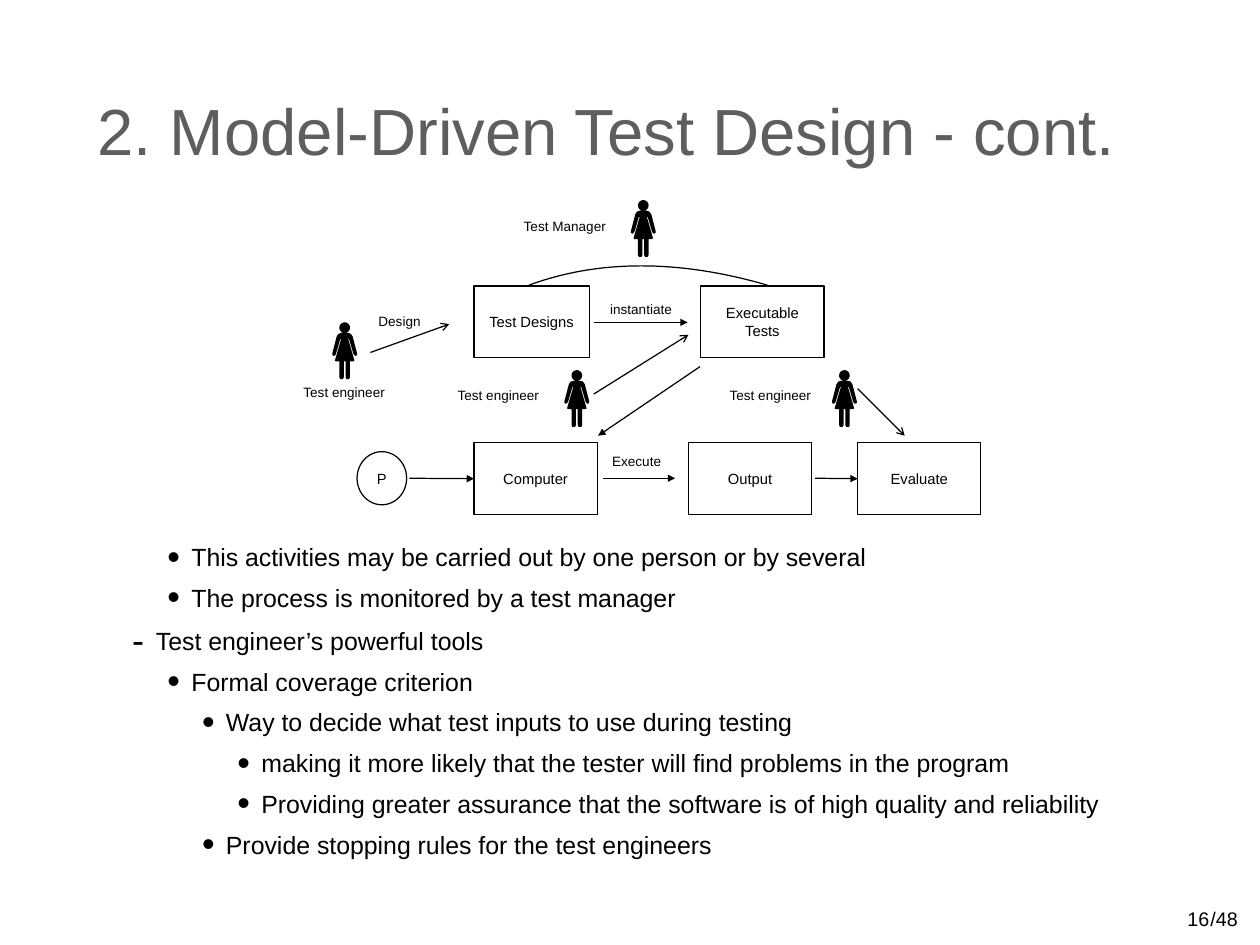
from dataclasses import dataclass
from math import cos, pi, sin

from lxml import etree
from pptx import Presentation
from pptx.dml.color import RGBColor
from pptx.enum.shapes import MSO_CONNECTOR, MSO_SHAPE
from pptx.enum.text import MSO_ANCHOR, MSO_AUTO_SIZE, PP_ALIGN
from pptx.oxml.ns import qn
from pptx.util import Inches, Pt

RECT, OVAL = MSO_SHAPE.RECTANGLE, MSO_SHAPE.OVAL
STRAIGHT = MSO_CONNECTOR.STRAIGHT
LEFT, CENTER = PP_ALIGN.LEFT, PP_ALIGN.CENTER
TOP, MIDDLE = MSO_ANCHOR.TOP, MSO_ANCHOR.MIDDLE
NO_AUTOFIT = MSO_AUTO_SIZE.NONE
LEFT_SIDE = 1


@dataclass(frozen=True)
class Theme:
    font: str = "Arial"
    ink: RGBColor = RGBColor(0, 0, 0)
    heading: RGBColor = RGBColor(0x5E, 0x5E, 0x5E)
    title_size: float = 53
    body_size: float = 20.2
    number_size: float = 16
    step_size: float = 12
    label_size: float = 11
    line_width: float = 1


THEME = Theme()

POINTS = [
    (2, "This activities may be carried out by one person or by several"),
    (2, "The process is monitored by a test manager"),
    (1, "Test engineer’s powerful tools"),
    (2, "Formal coverage criterion"),
    (3, "Way to decide what test inputs to use during testing"),
    (4, "making it more likely that the tester will find problems in the program"),
    (4, "Providing greater assurance that the software is of high quality and reliability"),
    (3, "Provide stopping rules for the test engineers"),
]
STEPS = [
    ("Test Designs", RECT, 5.35, 3.23, 1.3, 0.81),
    ("Executable Tests", RECT, 7.91, 3.23, 1.39, 0.81),
    ("Computer", RECT, 5.35, 5, 1.39, 0.81),
    ("Output", RECT, 7.77, 5, 1.39, 0.81),
    ("Evaluate", RECT, 9.68, 5, 1.39, 0.81),
    ("P", OVAL, 4.03, 5.1, 0.56, 0.6),
]
LABELS = [
    ("Test engineer", 3.15, 4.28, 1.47),
    ("Test Manager", 5.64, 2.4, 1.47),
    ("Test engineer", 4.89, 4.31, 1.47),
    ("Test engineer", 7.86, 4.31, 1.67),
    ("Design", 4.11, 3.47, 0.8),
    ("instantiate", 6.66, 3.34, 1.15),
    ("Execute", 6.75, 5.05, 0.87),
]
PEOPLE = [(3.89, 3.64), (7.26, 2.26), (6.51, 4.18), (9.53, 4.18)]
ARROWS = [
    (4.18, 3.98, 5.07, 3.66, "arrow", None),
    (6.7, 3.64, 7.76, 3.64, "triangle", None),
    (6.7, 4.45, 7.77, 3.78, "arrow", None),
    (7.9, 4.14, 6.75, 4.92, "triangle", None),
    (4.62, 5.4, 5.35, 5.4, "triangle", "Computer"),
    (6.81, 5.4, 7.62, 5.4, "triangle", None),
    (9.2, 5.4, 9.68, 5.4, "triangle", "Evaluate"),
    (9.68, 4.39, 10.21, 4.92, "arrow", None),
]
HALF_BODY = [
    (0.04, 0.12), (0.07, 0.13), (0.09, 0.16), (0.14, 0.35), (0.14, 0.37),
    (0.12, 0.38), (0.1, 0.36), (0.05, 0.19), (0.04, 0.19), (0.11, 0.43),
    (0.1, 0.44), (0.06, 0.44), (0.06, 0.62), (0.05, 0.64), (0.02, 0.64),
    (0.01, 0.62), (0.01, 0.44),
]
HEAD_RADIUS = 0.06
MANAGER_ARC = [(5.97, 3.22), (6.76, 2.93), (7.66, 2.93), (8.66, 3.22)]


def add_run(paragraph, text, size, color=THEME.ink):
    run = paragraph.add_run()
    run.text = text
    run.font.name = THEME.font
    run.font.size = Pt(size)
    run.font.color.rgb = color


def set_frame(frame, inset, anchor, wrap=True):
    frame.word_wrap = wrap
    frame.auto_size = NO_AUTOFIT
    frame.vertical_anchor = anchor
    frame.margin_left = frame.margin_right = Inches(inset)
    frame.margin_top = frame.margin_bottom = Inches(inset)


def place(placeholder, left, top, width, height):
    placeholder.left, placeholder.top = Inches(left), Inches(top)
    placeholder.width, placeholder.height = Inches(width), Inches(height)
    set_frame(placeholder.text_frame, 0.06, MIDDLE)


def set_line(shape):
    shape.line.color.rgb = THEME.ink
    shape.line.width = Pt(THEME.line_width)


def add_title(slide):
    title = slide.shapes.title
    place(title, 1.04, 0.28, 12.14, 2.36)
    paragraph = title.text_frame.paragraphs[0]
    paragraph.alignment = LEFT
    add_run(paragraph, "2. Model-Driven Test Design - cont.", THEME.title_size, THEME.heading)


def add_bullet(paragraph, level):
    properties = paragraph._p.get_or_add_pPr()
    properties.set("marL", str(Inches(round(0.265 + 0.396 * level, 2))))
    properties.set("indent", str(Inches(-0.27)))
    etree.SubElement(properties, qn("a:buSzPct")).set("val", "145000")
    etree.SubElement(properties, qn("a:buFont")).set("typeface", THEME.font)
    etree.SubElement(properties, qn("a:buChar")).set("char", "-" if level == 1 else "•")


def add_points(slide):
    body = slide.placeholders[1]
    place(body, 1.04, 6.04, 12.14, 3.67)
    for index, (level, text) in enumerate(POINTS):
        frame = body.text_frame
        paragraph = frame.add_paragraph() if index else frame.paragraphs[0]
        paragraph.level = level
        paragraph.alignment = LEFT
        paragraph.line_spacing = 1.2
        paragraph.space_before = Pt(6 if level == 1 else 4)
        paragraph.space_after = Pt(0)
        add_bullet(paragraph, level)
        add_run(paragraph, text, THEME.body_size)


def add_label(slide, text, left, top, width, size=THEME.label_size, wrap=True):
    label = slide.shapes.add_textbox(Inches(left), Inches(top), Inches(width), Inches(0.35))
    set_frame(label.text_frame, 0.06, TOP, wrap)
    paragraph = label.text_frame.paragraphs[0]
    paragraph.alignment = CENTER
    add_run(paragraph, text, size)


def add_step(slide, text, outline, left, top, width, height):
    step = slide.shapes.add_shape(outline, Inches(left), Inches(top), Inches(width), Inches(height))
    step.shadow.inherit = False
    step.fill.background()
    set_line(step)
    set_frame(step.text_frame, 0.11, MIDDLE)
    paragraph = step.text_frame.paragraphs[0]
    paragraph.alignment = CENTER
    add_run(paragraph, text, THEME.step_size)
    return step


def to_emu(points, left=0, top=0):
    return [(Inches(left + x), Inches(top + y)) for x, y in points]


def add_person(slide, center, top):
    angles = [pi * step / 12 for step in range(24)]
    circle = [(HEAD_RADIUS * cos(a), HEAD_RADIUS * (1 + sin(a))) for a in angles]
    head = to_emu(circle, center, top)
    body = to_emu(HALF_BODY + [(-x, y) for x, y in reversed(HALF_BODY)], center, top)
    builder = slide.shapes.build_freeform(*head[0])
    builder.add_line_segments(head[1:])
    builder.move_to(*body[0])
    builder.add_line_segments(body[1:])
    person = builder.convert_to_shape()
    person.shadow.inherit = False
    person.fill.solid()
    person.fill.fore_color.rgb = THEME.ink
    person.line.fill.background()


def curve_point(controls, t):
    weights = ((1 - t) ** 3, 3 * t * (1 - t) ** 2, 3 * t * t * (1 - t), t ** 3)
    return tuple(sum(w * c for w, c in zip(weights, axis)) for axis in zip(*controls))


def add_manager_arc(slide):
    points = to_emu(curve_point(MANAGER_ARC, step / 32) for step in range(33))
    builder = slide.shapes.build_freeform(*points[0])
    builder.add_line_segments(points[1:], close=False)
    arc = builder.convert_to_shape()
    arc.shadow.inherit = False
    arc.fill.background()
    set_line(arc)


def add_arrow(slide, x1, y1, x2, y2, head, target):
    arrow = slide.shapes.add_connector(STRAIGHT, Inches(x1), Inches(y1), Inches(x2), Inches(y2))
    if target is not None:
        arrow.end_connect(target, LEFT_SIDE)
    set_line(arrow)
    properties = arrow._element.spPr
    etree.SubElement(properties.find(qn("a:ln")), qn("a:tailEnd")).set("type", head)
    etree.SubElement(properties, qn("a:effectLst"))


def main():
    deck = Presentation()
    deck.slide_width, deck.slide_height = Inches(14.22), Inches(10.67)
    slide = deck.slides.add_slide(deck.slide_layouts[1])
    add_title(slide)
    add_points(slide)
    for person in PEOPLE:
        add_person(slide, *person)
    steps = {step[0]: add_step(slide, *step) for step in STEPS}
    for *ends, head, target in ARROWS:
        add_arrow(slide, *ends, head, steps.get(target))
    add_manager_arc(slide)
    for label in LABELS:
        add_label(slide, *label)
    add_label(slide, "16", 13.34, 10.18, 0.37, THEME.number_size, wrap=False)
    add_label(slide, "/48", 13.59, 10.18, 0.45, THEME.number_size, wrap=False)
    deck.save("out.pptx")


if __name__ == "__main__":
    main()
